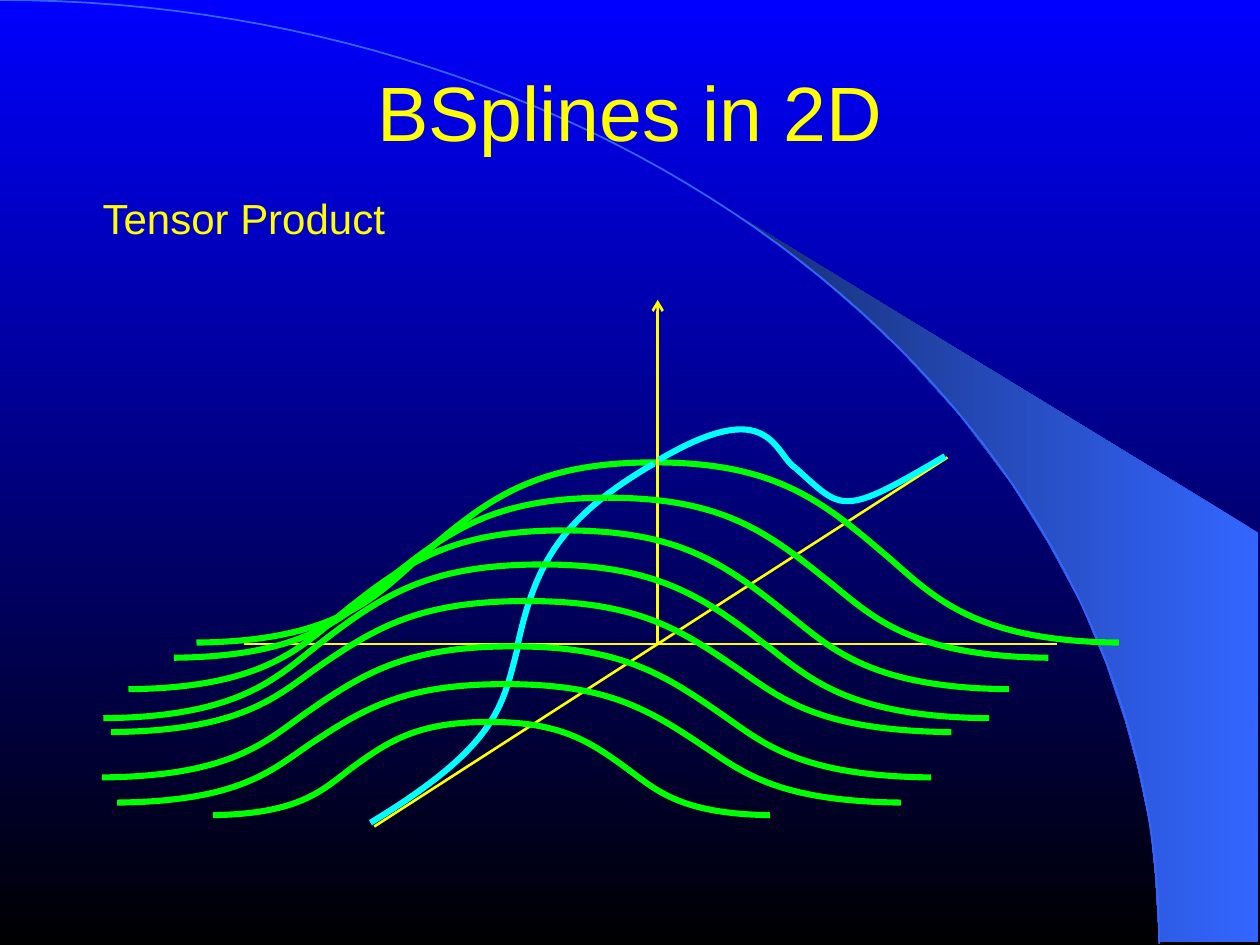
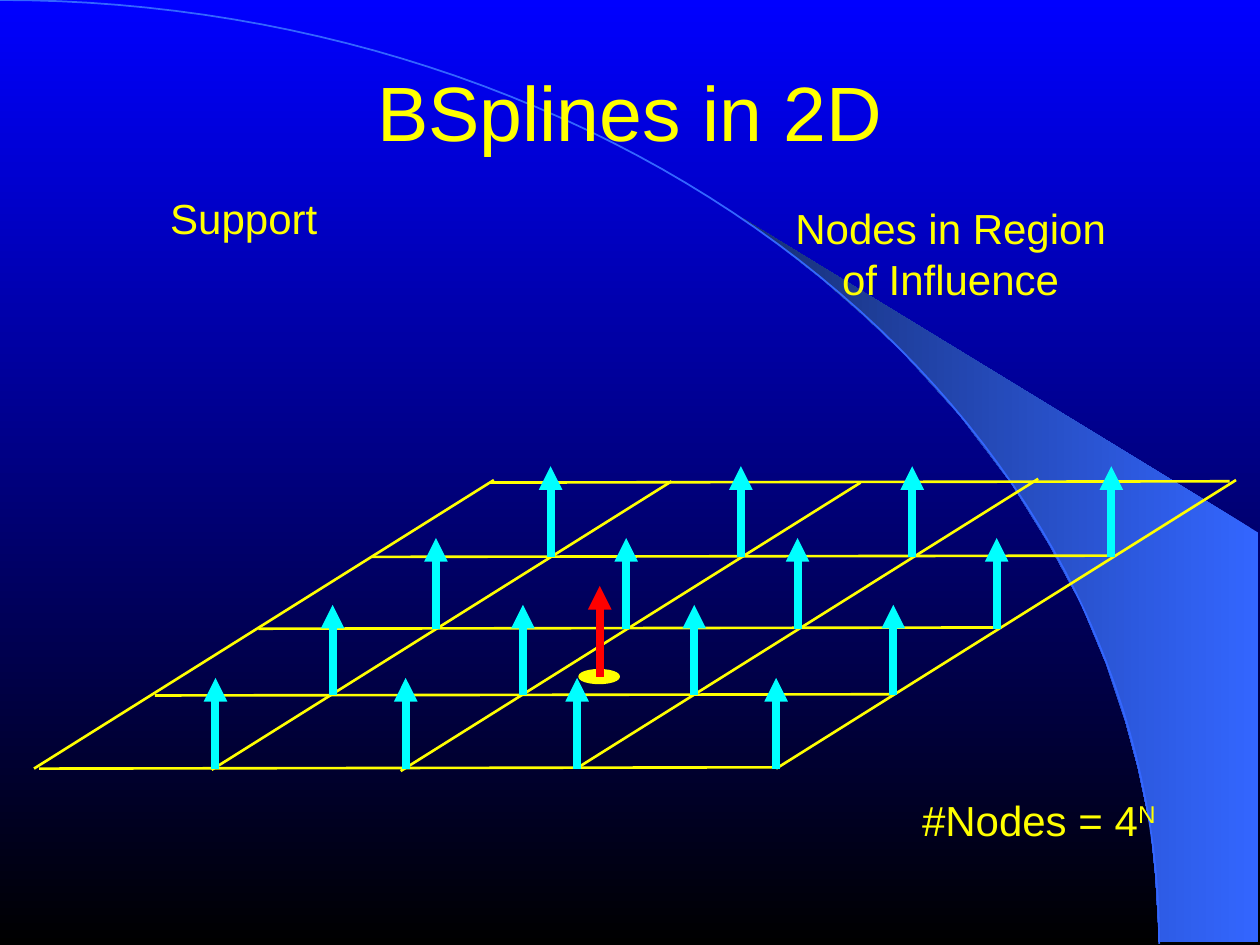
from dataclasses import dataclass
from math import cos, radians, sin

from lxml import etree
from pptx import Presentation
from pptx.dml.color import RGBColor
from pptx.enum import shapes, text
from pptx.oxml import ns
from pptx.util import Inches, Pt


@dataclass(frozen=True)
class Theme:
    blue: RGBColor = RGBColor(0x00, 0x00, 0xFF)
    black: RGBColor = RGBColor(0x00, 0x00, 0x00)
    band: RGBColor = RGBColor(0x33, 0x66, 0xFF)
    band_dark: RGBColor = RGBColor(0x17, 0x2F, 0x75)
    yellow: RGBColor = RGBColor(0xFF, 0xFF, 0x00)
    green: RGBColor = RGBColor(0x00, 0xFF, 0x00)
    cyan: RGBColor = RGBColor(0x00, 0xFF, 0xFF)
    red: RGBColor = RGBColor(0xFF, 0x00, 0x00)
    font: str = "Arial"
    title_size: int = 44
    label_size: int = 24
    thin: float = 1.5
    curve: float = 3.5
    arrow: float = 4.5


theme = Theme()


def draw_path(slide, points, color=None, width=None, cubic=False):
    """Draw a freeform through points in inches, or one cubic from four points."""
    corners = [(Inches(x), Inches(y)) for x, y in points]
    builder = slide.shapes.build_freeform(*corners[0])
    builder.add_line_segments(corners[1:], close=False)
    shape = builder.convert_to_shape()
    shape.shadow.inherit = False
    shape.fill.background()
    if color is None:
        shape.line.fill.background()
    else:
        shape.line.color.rgb = color
        shape.line.width = Pt(width)
    if cubic:
        outline = shape.element.find(".//" + ns.qn("a:path"))
        bezier = etree.SubElement(outline, ns.qn("a:cubicBezTo"))
        for segment in outline.findall(ns.qn("a:lnTo")):
            bezier.append(segment[0])
            outline.remove(segment)
    return shape


def draw_line(slide, start, end, color=theme.yellow, width=theme.thin, head=None):
    """Draw a straight line with an optional arrowhead at its start."""
    connector = slide.shapes.add_connector(
        shapes.MSO_CONNECTOR.STRAIGHT, *(Inches(value) for value in (*start, *end)))
    connector.line.color.rgb = color
    connector.line.width = Pt(width)
    properties = connector.element.spPr
    if head:
        outline = properties.find(ns.qn("a:ln"))
        etree.SubElement(outline, ns.qn("a:headEnd"), type=head)
    etree.SubElement(properties, ns.qn("a:effectLst"))
    return connector


presentation = Presentation()
presentation.slide_width, presentation.slide_height = Inches(10), Inches(7.5)
layout = presentation.slide_layouts[5]
tensor_slide = presentation.slides.add_slide(layout)
support_slide = presentation.slides.add_slide(layout)

# Shared background: gradient, band and quarter ellipse
background = layout.background.fill
band = draw_path(tensor_slide, [
    (9.2, 7.48), (9.99, 7.48), (9.99, 4.23), (5.89, 1.73), (6.24, 1.99), (6.53, 2.22),
    (6.85, 2.5), (7.16, 2.79), (7.62, 3.3), (8.03, 3.84), (8.32, 4.31), (8.58, 4.79),
    (8.78, 5.27), (8.93, 5.72), (9.03, 6.09), (9.13, 6.56), (9.17, 6.96), (9.2, 7.48)])
arc_steps = 62
angles = [radians(90 * step / arc_steps) for step in range(arc_steps + 1)]
arc = draw_path(tensor_slide,
                [(9.2 * cos(angle), 7.49 - 7.49 * sin(angle)) for angle in angles],
                theme.band, 1)
for fill, angle, colors in (
    (background, 270, (theme.blue, theme.black)),
    (band.fill, 180, (theme.band, theme.band_dark)),
):
    fill.gradient()
    fill.gradient_angle = angle
    for stop, color in zip(fill.gradient_stops, colors):
        stop.color.rgb = color
backdrop = tensor_slide.shapes.add_group_shape([band, arc])
layout.shapes.element.insert(2, backdrop.element)

# Titles
for slide in (tensor_slide, support_slide):
    title = slide.shapes.title
    title.left, title.top = Inches(0.75), Inches(0.12)
    title.width, title.height = Inches(8.5), Inches(1.51)
    frame = title.text_frame
    frame.text = "BSplines in 2D"
    frame_format = {"margin_left": 0, "margin_top": 0, "margin_right": 0,
                    "margin_bottom": 0, "vertical_anchor": text.MSO_ANCHOR.MIDDLE}
    for name, value in frame_format.items():
        setattr(frame, name, value)
    paragraph = frame.paragraphs[0]
    paragraph.alignment = text.PP_ALIGN.CENTER
    paragraph.font.name = theme.font
    paragraph.font.size = Pt(theme.title_size)
    paragraph.font.color.rgb = theme.yellow

# Tensor product: every curve is a list of cubic segments of four points
profile = [
    [(4.12, 5.1), (3.99, 5.57), (4, 5.89), (2.94, 6.53)],
    [(4.11, 5.11), (4.25, 4.48), (4.45, 4.11), (5.19, 3.68)],
    [(6.32, 3.72), (6.69, 4.05), (6.67, 4.11), (7.5, 3.62)],
    [(6.32, 3.72), (6.14, 3.61), (6.13, 3.12), (5.23, 3.65)],
]
bells = []
for left, crest, right, base, top in (
    (1.56, 5.19, 8.88, 5.1, 3.67),
    (1.38, 4.82, 8.32, 5.22, 3.95),
    (1.02, 4.48, 8.01, 5.47, 4.21),
    (0.82, 4.3, 7.85, 5.7, 4.48),
    (0.88, 4.18, 7.55, 5.81, 4.77),
    (0.81, 4.07, 7.39, 6.17, 5.13),
    (0.93, 4.01, 7.15, 6.37, 5.43),
    (1.69, 3.88, 6.11, 6.47, 5.73),
):
    middle = (base + top) / 2
    rise = middle - top
    bell = []
    for end, shoulder in ((left, (left + crest) / 2),
                          (right, crest + (crest - left) / 2)):
        tail, slope = end - shoulder, crest - shoulder
        bell += [
            [(shoulder, middle), (shoulder + 0.2 * tail, middle + 0.44 * rise),
             (shoulder + 0.36 * tail, base - 0.01), (end, base)],
            [(shoulder, middle), (shoulder + 0.28 * slope, middle - 0.61 * rise),
             (shoulder + 0.49 * slope, top), (crest, top)],
        ]
    bells.append(bell)

draw_line(tensor_slide, (2.97, 6.56), (7.52, 3.63))
draw_line(tensor_slide, (1.94, 5.11), (8.39, 5.11))
curves = [(theme.green, bell) for bell in bells]
curves.insert(1, (theme.cyan, profile))
for color, segments in curves:
    if segments is profile:
        draw_line(tensor_slide, (5.22, 2.38), (5.22, 5.1), head="arrow")
    tensor_slide.shapes.add_group_shape(
        [draw_path(tensor_slide, segment, color, theme.curve, cubic=True)
         for segment in segments])

# Support: sample point, grid in perspective and node arrows
sample = support_slide.shapes.add_shape(
    shapes.MSO_SHAPE.OVAL, Inches(4.6), Inches(5.32), Inches(0.31), Inches(0.1))
sample.shadow.inherit = False
sample.fill.solid()
sample.fill.fore_color.rgb = theme.yellow
sample.line.color.rgb = theme.yellow
sample.line.width = Pt(theme.thin)

diagonals = [
    draw_line(support_slide, (x, y), (x + 3.65, y - 2.29))
    for x, y in ((0.27, 6.1), (1.68, 6.11), (3.18, 6.12), (4.59, 6.09), (6.16, 6.1))]
rows = [
    draw_line(support_slide, (x, y), (x + 5.87, y - 0.01))
    for x, y in ((3.89, 3.83), (2.95, 4.42), (2.05, 4.99), (1.23, 5.52), (0.31, 6.1))]
support_slide.shapes.add_group_shape(diagonals + rows)

arrow_length = 0.72
nodes = [(x + shift, y)
         for shift, y in ((2.66, 4.42), (1.75, 4.99), (0.93, 5.52), (0, 6.1))
         for x in (1.71, 3.22, 4.58, 6.16)]
for (x, y), color in [((4.76, 5.37), theme.red)] + [(node, theme.cyan) for node in nodes]:
    draw_line(support_slide, (x, y - arrow_length), (x, y), color, theme.arrow, "triangle")

# Labels: slide, left, top, height, line spacing, wording, superscript
for slide, left, top, height, spacing, wording, superscript in (
    (tensor_slide, 0.57, 1.56, 0.42, 0.8, "Tensor Product", ""),
    (support_slide, 0.57, 1.56, 0.42, 0.8, "Support", ""),
    (support_slide, 6.18, 1.56, 0.9, 1.0, "Nodes in Region of Influence", ""),
    (support_slide, 6.88, 6.33, 0.42, 0.8, "#Nodes = 4", "N"),
):
    label = slide.shapes.add_textbox(Inches(left), Inches(top), Inches(2.73), Inches(height))
    label.text_frame.word_wrap = True
    label.text_frame.auto_size = text.MSO_AUTO_SIZE.SHAPE_TO_FIT_TEXT
    paragraph = label.text_frame.paragraphs[0]
    paragraph.alignment = text.PP_ALIGN.CENTER
    paragraph.line_spacing = spacing
    for words in filter(None, (wording, superscript)):
        run = paragraph.add_run()
        run.text = words
        run.font.name = theme.font
        run.font.size = Pt(theme.label_size)
        run.font.color.rgb = theme.yellow
    if superscript:
        run.font._element.set("baseline", "30000")

presentation.save("out.pptx")
